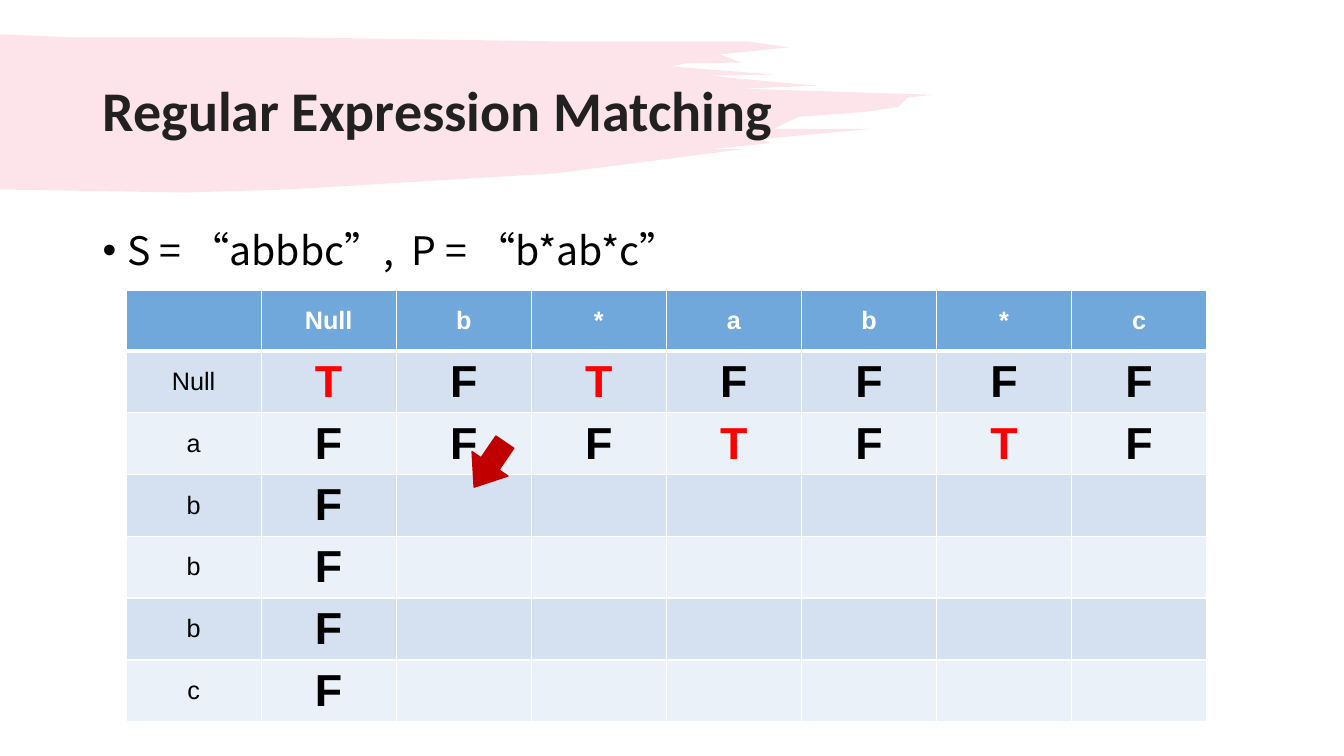
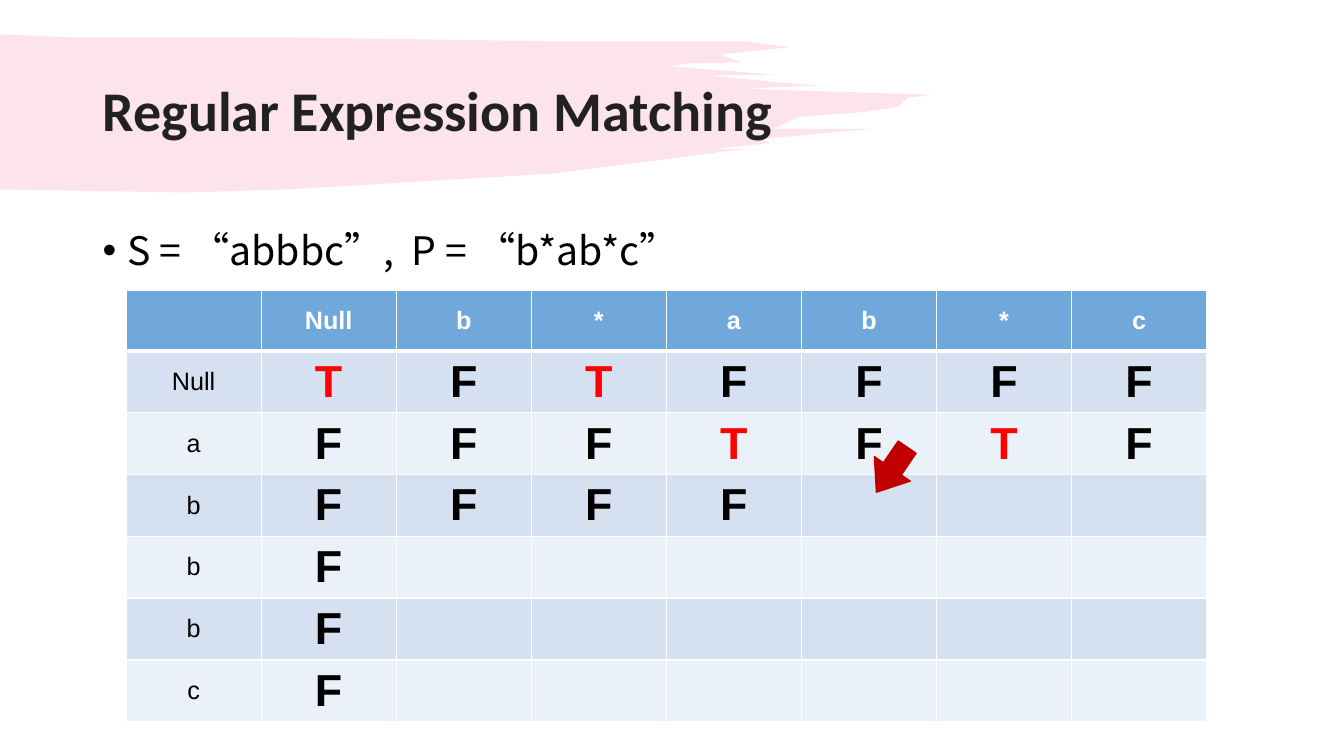
"""Two steps of filling a regular expression matching table."""
from lxml import etree
from pptx import Presentation
from pptx import util as u
from pptx.dml.color import RGBColor
from pptx.enum import shapes, text
from pptx.oxml.ns import qn

PX = 9144
SLIDE_SIZE = (1333, 750)
COLORS = {
    "brush": "F07C98", "title": "212121", "black": "000000", "white": "FFFFFF",
    "true": "FF0000", "header": "70A8DB", "odd": "D5E1F1", "even": "EBF1F8",
    "arrow": "C00000",
}
TITLE = "Regular Expression Matching"
PROBLEM = "S = “abbbc”,  P = “b*ab*c”"
TITLE_BOX = (92, 40, 1150, 145)
BODY_BOX = (92, 220, 1150, 455)
TABLE_ORIGIN = (125, 288)
CELL_SIZE = (134, 60)
ARROW_SIZE = (43, 54)
PATTERN = ["", "Null", "b", "*", "a", "b", "*", "c"]
STRING = ["Null", "a", "b", "b", "b", "c"]
STEPS = [
    {"marks": ["TFTFFFF", "FFFTFTF", "F", "F", "F", "F"], "arrow": (464, 434)},
    {"marks": ["TFTFFFF", "FFFTFTF", "FFFF", "F", "F", "F"], "arrow": (863, 439)},
]
BRUSH_OUTLINE = [
    (0, 34), (70, 37), (285, 37), (544, 41), (740, 41), (783, 47), (714, 54),
    (735, 62), (680, 63), (665, 66), (769, 74), (703, 75), (765, 81), (811, 85),
    (736, 88), (925, 94), (900, 97), (891, 106), (859, 111), (792, 116),
    (767, 128), (863, 128), (755, 138), (764, 142), (705, 148), (737, 148),
    (551, 172), (286, 188), (183, 191), (0, 188),
]


def emu(*lengths):
    return [round(length * PX) for length in lengths]


def color(name):
    return RGBColor.from_string(COLORS[name])


def paint(fill, name):
    fill.solid()
    fill.fore_color.rgb = color(name)


def write_text(frame, content, size=18, font="Arial", ink="black", bold=False,
               align=text.PP_ALIGN.LEFT, spacing=1.0, bullet=None):
    paragraph = frame.paragraphs[0]
    paragraph.alignment = align
    paragraph.line_spacing = spacing
    if bullet:
        properties = paragraph._p.get_or_add_pPr()
        indent = emu(25)[0]
        properties.set("marL", str(indent))
        properties.set("indent", str(-indent))
        etree.SubElement(properties, qn("a:buFont"), typeface="Arial")
        etree.SubElement(properties, qn("a:buChar"), char=bullet)
    run = paragraph.add_run()
    run.text = content
    run.font.size = u.Pt(size)
    run.font.name = font
    run.font.bold = bold
    run.font.color.rgb = color(ink)
    etree.SubElement(run._r.get_or_add_rPr(), qn("a:ea"), typeface=font)


def add_text_box(slide, box, content, anchor=text.MSO_ANCHOR.TOP, **style):
    frame = slide.shapes.add_textbox(*emu(*box)).text_frame
    frame.word_wrap = True
    frame.vertical_anchor = anchor
    write_text(frame, content, **style)


def add_brush(slide):
    start, *rest = [emu(*point) for point in BRUSH_OUTLINE]
    builder = slide.shapes.build_freeform(*start, scale=1.0)
    builder.add_line_segments(rest, close=True)
    shape = builder.convert_to_shape()
    shape.shadow.inherit = False
    paint(shape.fill, "brush")
    shape.line.fill.background()
    tint = shape._element.spPr.find(".//" + qn("a:srgbClr"))
    etree.SubElement(tint, qn("a:alpha"), val="20000")


def set_borders(cell, **widths):
    properties = cell._tc.get_or_add_tcPr()
    for side in "LRTB":
        width = u.Pt(widths.get(side, 1))
        line = etree.SubElement(properties, qn("a:ln" + side), w=str(width))
        fill = etree.SubElement(line, qn("a:solidFill"))
        etree.SubElement(fill, qn("a:srgbClr"), val=COLORS["white"])


def format_cell(cell, row, column, content):
    set_borders(cell, **{0: {"B": 3}, 1: {"T": 3}}.get(row, {}))
    paint(cell.fill, "header" if row == 0 else "odd" if row % 2 else "even")
    cell.vertical_anchor = text.MSO_ANCHOR.MIDDLE
    cell.margin_top = cell.margin_bottom = emu(4)[0]
    if not content:
        return
    if row == 0:
        style = {"ink": "white", "bold": True}
    elif column == 0:
        style = {}
    else:
        style = {"size": 32, "bold": True, "ink": "true" if content == "T" else "black"}
    write_text(cell.text_frame, content, align=text.PP_ALIGN.CENTER, **style)


def add_match_table(slide, marks):
    rows = [PATTERN] + [[letter, *line] for letter, line in zip(STRING, marks)]
    width, height = CELL_SIZE
    size = (width * len(PATTERN), height * len(rows))
    table = slide.shapes.add_table(len(rows), len(PATTERN), *emu(*TABLE_ORIGIN, *size)).table
    for column in table.columns:
        column.width = emu(width)[0]
    for row, values in enumerate(rows):
        table.rows[row].height = emu(height)[0]
        for column in range(len(PATTERN)):
            content = values[column] if column < len(values) else ""
            format_cell(table.cell(row, column), row, column, content)


def add_arrow(slide, position):
    arrow = slide.shapes.add_shape(shapes.MSO_SHAPE.DOWN_ARROW, *emu(*position, *ARROW_SIZE))
    arrow.adjustments[0] = 0.5
    arrow.adjustments[1] = 0.65
    arrow.rotation = 34.3
    arrow.shadow.inherit = False
    paint(arrow.fill, "arrow")
    paint(arrow.line.fill, "arrow")
    arrow.line.width = u.Pt(1)


def main():
    presentation = Presentation()
    presentation.slide_width, presentation.slide_height = emu(*SLIDE_SIZE)
    for step in STEPS:
        slide = presentation.slides.add_slide(presentation.slide_layouts[6])
        add_brush(slide)
        add_text_box(slide, TITLE_BOX, TITLE, anchor=text.MSO_ANCHOR.MIDDLE, size=40,
                     font="Calibri", ink="title", bold=True, spacing=0.9)
        add_text_box(slide, BODY_BOX, PROBLEM, size=28, font="Noto Sans CJK TC", bullet="•")
        add_match_table(slide, step["marks"])
        add_arrow(slide, step["arrow"])
    presentation.save("out.pptx")


if __name__ == "__main__":
    main()
